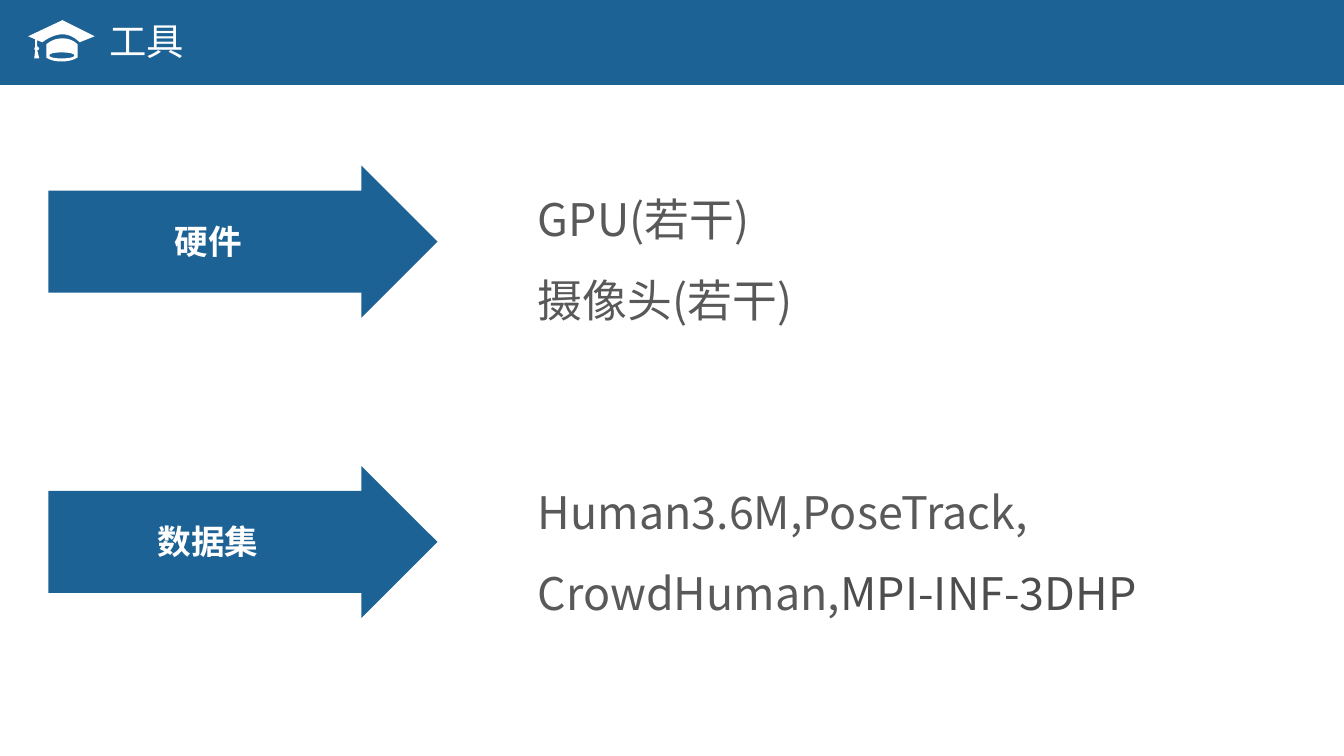
from lxml import etree
from pptx import Presentation
from pptx.dml.color import RGBColor
from pptx.enum.shapes import MSO_SHAPE
from pptx.enum.text import MSO_AUTO_SIZE, PP_ALIGN
from pptx.oxml.ns import qn
from pptx.util import Pt

RECT, ARROW = MSO_SHAPE.RECTANGLE, MSO_SHAPE.RIGHT_ARROW
LEFT, CENTER, JUSTIFY = PP_ALIGN.LEFT, PP_ALIGN.CENTER, PP_ALIGN.JUSTIFY
FIT = MSO_AUTO_SIZE.SHAPE_TO_FIT_TEXT

FONT = "Noto Sans CJK SC"
COLORS = {"blue": "1D6295", "white": "FFFFFF", "gray": "595959", "dark": "4D4D4D"}

# Content: each paragraph is a list of (text, colour) runs
TITLE = [[("工具", "white")]]
ROWS = [
    {"label": "硬件", "label_width": 198, "top": 118.2,
     "text_top": 118, "text_width": 219, "align": JUSTIFY,
     "text": [[("GPU(若干)", "gray")], [("摄像头(若干)", "gray")]]},
    {"label": "数据集", "label_width": 219, "top": 332.8,
     "text_top": 327.3, "text_width": 477.4, "align": LEFT,
     "text": [[("Human3.6M,PoseTrack,", "gray")],
              [("CrowdHuman,", "gray"), ("MPI-INF-3DHP", "dark")]]},
]

# Graduation cap on a grid of 0.72 pt: two numbers are a corner, six a Bézier curve
CAP_UNIT = 0.72
CAP = [
    [(79, 42), (79, 42, 72, 34, 62, 34), (52, 34, 42, 42, 42, 42), (37, 40), (37, 46),
     (38, 47, 39, 47, 39, 48), (39, 49, 38, 50, 37, 50), (39, 58), (34, 58), (35, 50),
     (35, 50, 34, 49, 34, 48), (34, 48, 35, 47, 35, 46), (35, 39), (28, 36), (62, 20),
     (94, 36)],
    [(62, 38), (72, 38, 77, 44, 77, 44), (77, 57), (77, 57, 72, 61, 61, 61),
     (50, 61, 46, 57, 46, 57), (46, 44), (46, 44, 52, 38, 62, 38)],
    [(61, 58), (68, 58, 74, 57, 74, 55), (74, 53, 68, 52, 61, 52),
     (54, 52, 49, 53, 49, 55), (49, 57, 54, 58, 61, 58)],
]

ARROW_LEFT, ARROW_W, ARROW_H = 34.5, 278, 108.7
LABEL_CENTER, LABEL_H, LABEL_DROP = 148.7, 28.8, 39.6
TEXT_LEFT, TEXT_H = 384.2, 109.4


def rgb(name):
    return RGBColor.from_string(COLORS[name])


def paint(s, color):
    s.fill.solid()
    s.fill.fore_color.rgb = rgb(color)
    s.line.fill.background()
    s.shadow.inherit = False


def add_shape(kind, x, y, w, h, color):
    s = slide.shapes.add_shape(kind, Pt(x), Pt(y), Pt(w), Pt(h))
    paint(s, color)
    return s


def add_text(paragraphs, x, y, w, h, size, bold=False, align=LEFT, spacing=None, inset=(0, 0)):
    s = slide.shapes.add_textbox(Pt(x), Pt(y), Pt(w), Pt(h))
    tf = s.text_frame
    tf.word_wrap = True
    tf.auto_size = FIT
    tf.margin_left = tf.margin_right = Pt(inset[0])
    tf.margin_top = tf.margin_bottom = Pt(inset[1])
    for i, runs in enumerate(paragraphs):
        p = tf.add_paragraph() if i else tf.paragraphs[0]
        p.alignment, p.line_spacing = align, spacing
        for text, color in runs:
            r = p.add_run()
            r.text = text
            r.font.name, r.font.size, r.font.bold = FONT, Pt(size), bold
            r.font.color.rgb = rgb(color)
            etree.SubElement(r.font._element, qn("a:ea")).set("typeface", FONT)


def cap_point(x, y):
    return Pt(x * CAP_UNIT), Pt(y * CAP_UNIT)


def add_cap():
    builder = slide.shapes.build_freeform(*cap_point(*CAP[0][0]))
    for i, contour in enumerate(CAP):
        if i:
            builder.move_to(*cap_point(*contour[0]))
        builder.add_line_segments([cap_point(*seg[-2:]) for seg in contour[1:]], close=True)
    s = builder.convert_to_shape()
    paint(s, "white")

    # Bend the straight segments that have control points
    segments = [seg for contour in CAP for seg in contour[1:]]
    lines = list(s._element.iter(qn("a:lnTo")))
    for seg, line in zip(segments, lines):
        if len(seg) == 2:
            continue
        line.tag = qn("a:cubicBezTo")
        for i in (0, 2):
            x, y = cap_point(*seg[i:i + 2])
            pt = etree.Element(qn("a:pt"), x=str(x - s.left), y=str(y - s.top))
            line.insert(i // 2, pt)


prs = Presentation()
prs.slide_width, prs.slide_height = Pt(960), Pt(540)
slide = prs.slides.add_slide(prs.slide_layouts[6])

# Header band with title and cap
add_shape(RECT, 0, 0, 960, 60.7, "blue")
add_text(TITLE, 70.8, 9.7, 304, 39.6, size=26.7, inset=(7.2, 3.6))
add_cap()

# Arrow, label and text of each row
for row in ROWS:
    arrow = add_shape(ARROW, ARROW_LEFT, row["top"], ARROW_W, ARROW_H, "blue")
    arrow.adjustments[0], arrow.adjustments[1] = 0.67, 0.5
    width = row["label_width"]
    add_text([[(row["label"], "white")]], LABEL_CENTER - width / 2, row["top"] + LABEL_DROP,
             width, LABEL_H, size=24, bold=True, align=CENTER)
    add_text(row["text"], TEXT_LEFT, row["text_top"], row["text_width"], TEXT_H,
             size=32, align=row["align"], spacing=1.5)

prs.save("out.pptx")
